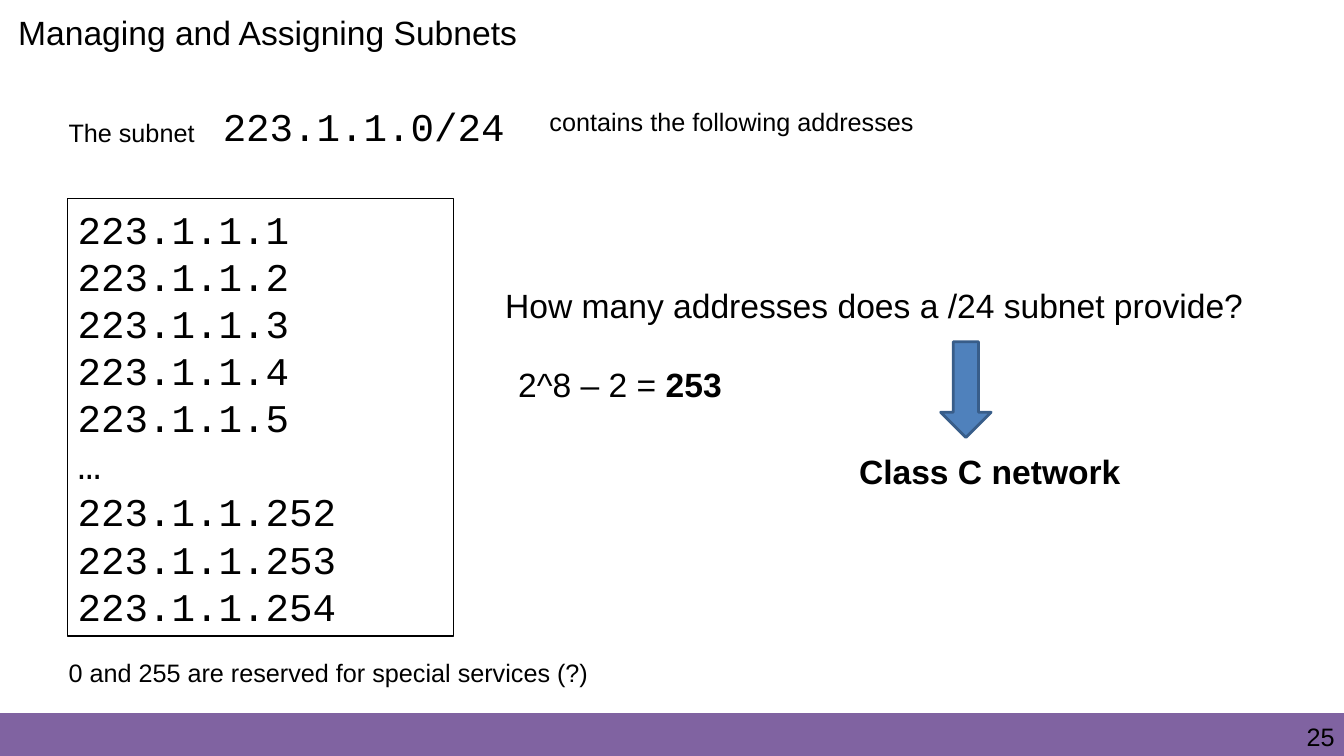
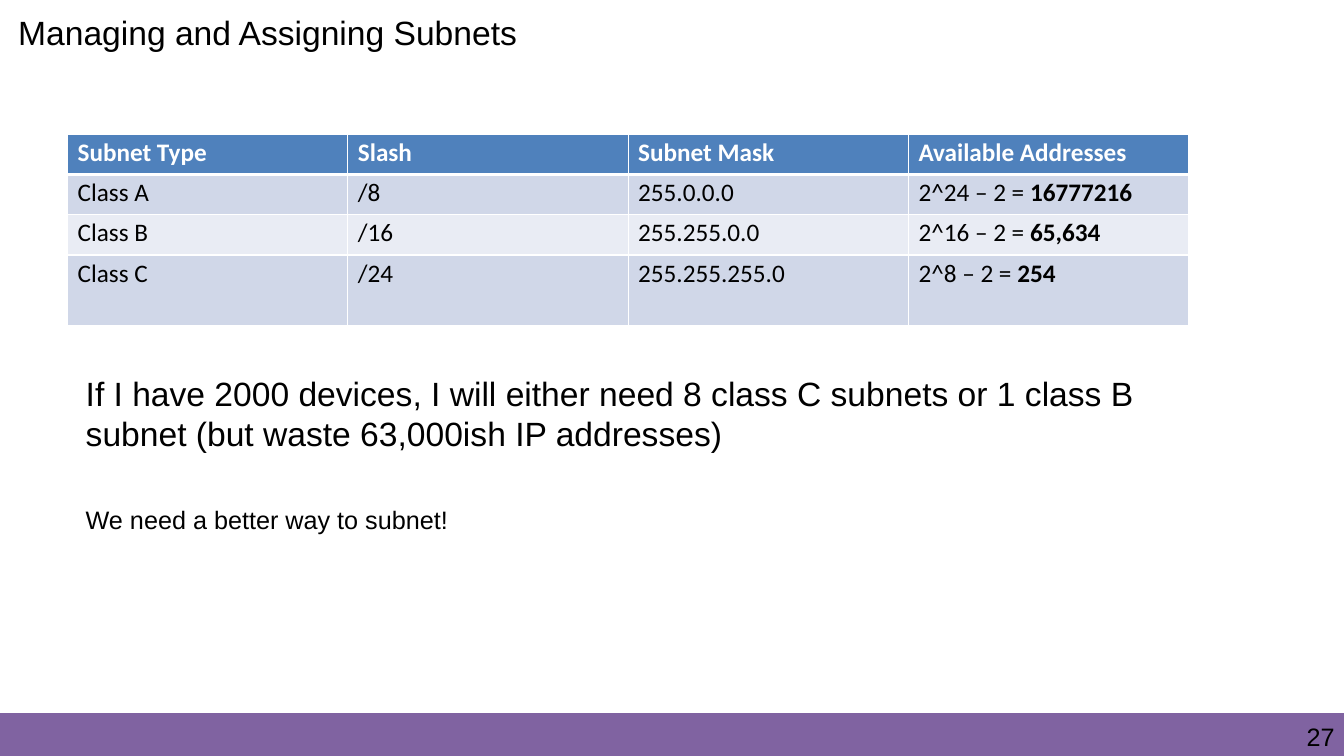
from dataclasses import dataclass

from lxml.etree import SubElement
from pptx import Presentation
from pptx.dml.color import RGBColor
from pptx.enum.shapes import MSO_SHAPE
from pptx.enum.text import MSO_ANCHOR, MSO_AUTO_SIZE, PP_ALIGN
from pptx.oxml.ns import qn
from pptx.slide import Slide, SlideLayout
from pptx.table import _Cell
from pptx.text.text import TextFrame
from pptx.util import Inches, Pt


@dataclass(frozen=True)
class Theme:
    """Colours, fonts and type sizes of the deck."""
    ink: str = "000000"
    white: str = "FFFFFF"
    band: str = "8063A1"
    blue: str = "4F81BC"
    edge: str = "385D89"
    odd: str = "D0D7E8"
    even: str = "E9ECF4"
    sans: str = "Arial"
    mono: str = "Courier New"
    grid: str = "Calibri"
    small: int = 18
    mid: int = 24
    large: int = 28


LOOK = Theme()


@dataclass(frozen=True)
class Run:
    """A stretch of text in one weight."""
    text: str
    bold: bool = False


@dataclass(frozen=True)
class Line:
    """A paragraph with its type settings."""
    runs: tuple[Run, ...]
    size: int = LOOK.small
    font: str = LOOK.sans
    ink: str = LOOK.ink
    gap: float = 0
    pitch: float | None = None


@dataclass(frozen=True)
class Box:
    """A place on the slide, in inches."""
    left: float
    top: float
    width: float
    height: float

    def spans(self) -> tuple[Inches, ...]:
        """Return the four lengths."""
        return tuple(map(Inches, (self.left, self.top, self.width, self.height)))


@dataclass(frozen=True)
class Note:
    """A free line of text on a slide."""
    box: Box
    line: Line


WIDE, HIGH = 13.33, 7.5
BAND = Box(0, 7.08, WIDE, 0.42)
HEAD = Box(0.18, 0.11, 6.15, 0.45)
PAGE = Box(12.96, 7.15, 0.36, 0.31)
HOSTS = Box(0.67, 1.97, 3.83, 4.34)
ARROW = Box(9.33, 3.39, 0.5, 0.95)
GRID = Box(0.67, 1.33, 11.12, 1.9)
CLAIM = Box(0.85, 3.69, 10.5, 1.63)
TITLE = "Managing and Assigning Subnets"

NOTES = (
    Note(Box(0.68, 1.15, 1.4, 0.33), Line((Run("The subnet"),))),
    Note(Box(2.21, 1.01, 3, 0.49),
         Line((Run("223.1.1.0/24"),), LOOK.large, LOOK.mono)),
    Note(Box(5.45, 1.05, 4, 0.33),
         Line((Run("contains the following addresses"),))),
    Note(Box(5.01, 2.82, 7.8, 0.43),
         Line((Run("How many addresses does a /24 subnet provide?"),), LOOK.mid)),
    Note(Box(5.14, 3.6, 2.5, 0.43),
         Line((Run("2^8 – 2 = "), Run("253", True)), LOOK.mid)),
    Note(Box(8.52, 4.46, 3, 0.43),
         Line((Run("Class C network", True),), LOOK.mid)),
    Note(Box(0.68, 6.51, 5.8, 0.31),
         Line((Run("0 and 255 are reserved for special services (?)"),))),
)

ROWS = (
    ("Subnet Type", "Slash", "Subnet Mask", "Available Addresses", ""),
    ("Class A", "/8", "255.0.0.0", "2^24 – 2 = ", "16777216"),
    ("Class B", "/16", "255.255.0.0", "2^16 – 2 = ", "65,634"),
    ("Class C", "/24", "255.255.255.0", "2^8 – 2 = ", "254"),
)
TALL = (0.4, 0.4, 0.4, 0.7)


def tint(code: str) -> RGBColor:
    """Turn a hex code into a colour."""
    return RGBColor.from_string(code)


def write(frame: TextFrame, lines: list[Line]) -> None:
    """Fill a frame with plain, left-set lines."""
    for spot, line in enumerate(lines):
        para = frame.add_paragraph() if spot else frame.paragraphs[0]
        props = para._p.get_or_add_pPr()
        props.set("marL", "0")
        props.set("indent", "0")
        SubElement(props, qn("a:buNone"))
        para.alignment = PP_ALIGN.LEFT
        para.space_before = Pt(line.gap)
        if line.pitch:
            para.line_spacing = Pt(line.pitch)
        for part in line.runs:
            run = para.add_run()
            run.text = part.text
            run.font.name = line.font
            run.font.size = Pt(line.size)
            run.font.bold = part.bold
            run.font.color.rgb = tint(line.ink)


def place(shape, box: Box, lines: list[Line], left: float = 0, top: float = 0.01) -> None:
    """Move a text shape, set its insets and write its lines."""
    shape.left, shape.top, shape.width, shape.height = box.spans()
    frame = shape.text_frame
    frame.word_wrap = True
    frame.auto_size = MSO_AUTO_SIZE.NONE
    frame.vertical_anchor = MSO_ANCHOR.TOP
    frame.margin_left, frame.margin_top = Inches(left), Inches(top)
    frame.margin_right = frame.margin_bottom = 0
    write(frame, lines)


def label(slide: Slide, note: Note) -> None:
    """Add a text box for a note."""
    place(slide.shapes.add_textbox(*note.box.spans()), note.box, [note.line])


def block(slide: Slide, kind: MSO_SHAPE, box: Box, fill: str, edge: str, width: float):
    """Add a filled preset shape."""
    shape = slide.shapes.add_shape(kind, *box.spans())
    shape.shadow.inherit = False
    shape.fill.solid()
    shape.fill.fore_color.rgb = tint(fill)
    shape.line.color.rgb = tint(edge)
    shape.line.width = Pt(width)
    return shape


def brand(slide: Slide, layout: SlideLayout) -> None:
    """Draw the foot band and hand it to the layout."""
    band = block(slide, MSO_SHAPE.RECTANGLE, BAND, LOOK.band, LOOK.band, 1)
    layout.shapes.element.insert(2, band.element)


def start(deck: Presentation, layout: SlideLayout, page: str) -> Slide:
    """Add a slide with its title and page number."""
    slide = deck.slides.add_slide(layout)
    place(slide.shapes.title, HEAD, [Line((Run(TITLE),), LOOK.mid)])
    label(slide, Note(PAGE, Line((Run(page),))))
    return slide


def border(cell: _Cell, top: float, base: float) -> None:
    """Give a cell white edges."""
    props = cell._tc.get_or_add_tcPr()
    for side, width in (("L", 1), ("R", 1), ("T", top), ("B", base)):
        edge = SubElement(props, qn(f"a:ln{side}"), w=str(Pt(width)))
        SubElement(SubElement(edge, qn("a:solidFill")), qn("a:srgbClr"), val=LOOK.white)


def chart(slide: Slide) -> None:
    """Add the table of subnet classes."""
    table = slide.shapes.add_table(len(ROWS), 4, *GRID.spans()).table
    for col in table.columns:
        col.width = Inches(GRID.width / 4)
    for y, (row, tall) in enumerate(zip(ROWS, TALL)):
        table.rows[y].height = Inches(tall)
        head = y == 0
        fill = LOOK.blue if head else LOOK.odd if y % 2 else LOOK.even
        ink = LOOK.white if head else LOOK.ink
        *texts, total = row
        for x, text in enumerate(texts):
            cell = table.cell(y, x)
            border(cell, 3 if y == 1 else 1, 3 if head else 1)
            cell.fill.solid()
            cell.fill.fore_color.rgb = tint(fill)
            cell.margin_left, cell.margin_top = Inches(0.1), Inches(0.03)
            cell.margin_right = cell.margin_bottom = 0
            runs = (Run(text, head),)
            if total and x == 3:
                runs += (Run(total, True),)
            write(cell.text_frame, [Line(runs, LOOK.small, LOOK.grid, ink)])


def hosts(slide: Slide) -> None:
    """Fill the slide on addresses in one subnet."""
    ends = [f"223.1.1.{n}" for n in (1, 2, 3, 4, 5, 252, 253, 254)]
    names = ends[:5] + ["…"] + ends[5:]
    lines = [Line((Run(name),), LOOK.large, LOOK.mono, pitch=33.6) for name in names]
    body = slide.placeholders[1]
    place(body, HOSTS, lines, 0.1, 0.07)
    body.line.color.rgb = tint(LOOK.ink)
    body.line.width = Pt(1)
    for note in NOTES:
        label(slide, note)
    block(slide, MSO_SHAPE.DOWN_ARROW, ARROW, LOOK.blue, LOOK.edge, 2)


def types(slide: Slide) -> None:
    """Fill the slide on subnet classes."""
    chart(slide)
    claim = ("If I have 2000 devices, I will either need 8 class C subnets or 1 class B "
             "subnet (but waste 63,000ish IP addresses)")
    place(slide.placeholders[1], CLAIM, [
        Line((Run(claim),), LOOK.mid),
        Line((Run("We need a better way to subnet!"),), gap=36),
    ])


def main() -> None:
    """Build and save the deck."""
    deck = Presentation()
    deck.slide_width, deck.slide_height = Inches(WIDE), Inches(HIGH)
    layout = deck.slide_layouts[1]
    first = start(deck, layout, "25")
    brand(first, layout)
    hosts(first)
    types(start(deck, layout, "27"))
    deck.save("out.pptx")


if __name__ == "__main__":
    main()
